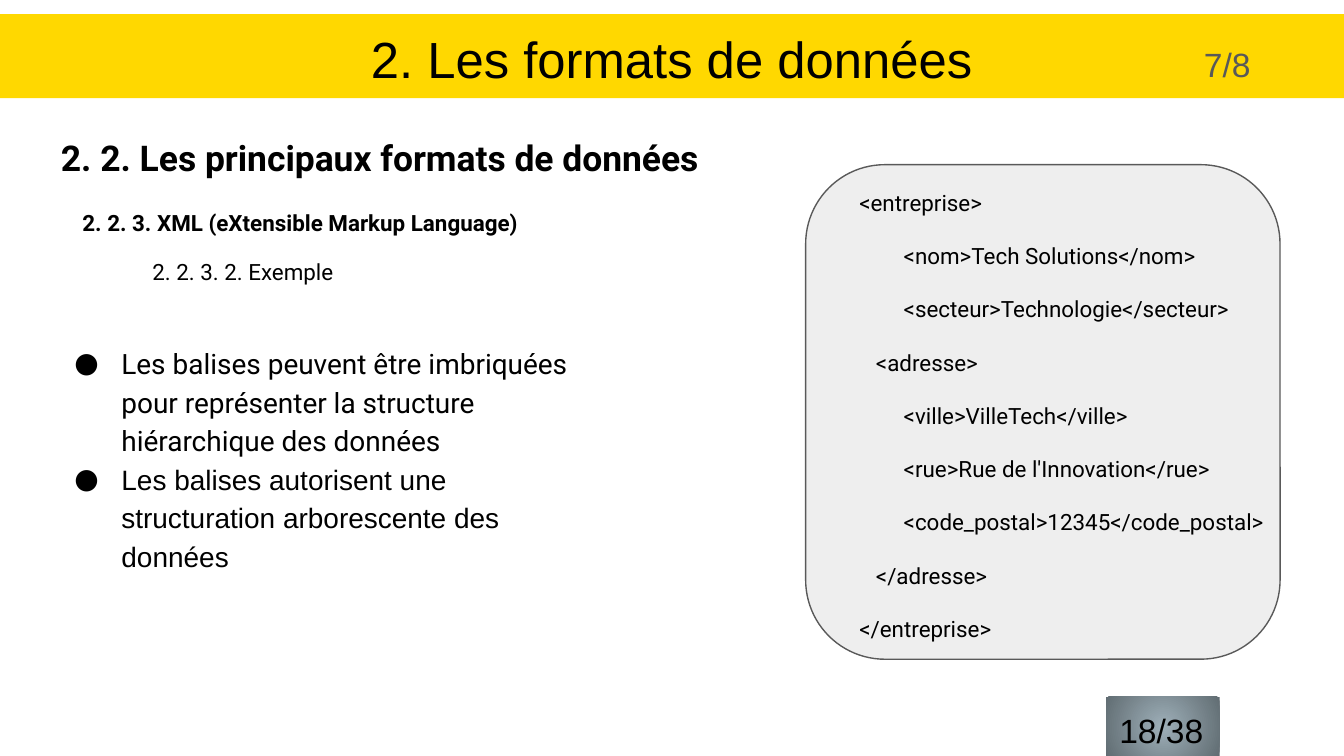
from lxml import etree
from pptx import Presentation
from pptx.dml.color import RGBColor
from pptx.enum.shapes import MSO_SHAPE
from pptx.enum.text import MSO_ANCHOR, PP_ALIGN
from pptx.oxml.ns import qn
from pptx.util import Emu, Pt

RECT, ROUND = MSO_SHAPE.RECTANGLE, MSO_SHAPE.ROUNDED_RECTANGLE
TOP, LEFT, CENTER = MSO_ANCHOR.TOP, PP_ALIGN.LEFT, PP_ALIGN.CENTER
SCALE = 4572
HUES = {"ink": "000000", "gray": "595959", "pale": "EEEEEE",
        "gold": "FFD800", "mist": "9EAFB8", "slate": "616D73"}
CODE = [
    "<entreprise>",
    "        <nom>Tech Solutions</nom>",
    "        <secteur>Technologie</secteur>",
    "   <adresse>",
    "        <ville>VilleTech</ville>",
    "        <rue>Rue de l'Innovation</rue>",
    "        <code_postal>12345</code_postal>",
    "   </adresse>",
    "</entreprise>",
]
POINTS = [
    ("Les balises peuvent être imbriquées pour représenter la structure "
     "hiérarchique des données", "Roboto"),
    ("Les balises autorisent une structuration arborescente des données", "Arial"),
]


def px(count):
    """Turn px into EMU."""
    return Emu(count * SCALE)


def hue(name):
    """Look up a colour by name."""
    return RGBColor.from_string(HUES[name])


def shape(slide, kind, box, fill):
    """Add a flat shape with one fill and no line."""
    item = slide.shapes.add_shape(kind, *map(px, box))
    item.shadow.inherit = False
    item.fill.solid()
    item.fill.fore_color.rgb = hue(fill)
    item.line.fill.background()
    return item


def frame(item):
    """Give a shape even margins and text from the top."""
    text = item.text_frame
    text.word_wrap = True
    text.vertical_anchor = TOP
    text.margin_left = text.margin_right = px(20)
    text.margin_top = text.margin_bottom = px(20)
    return text


def field(slide, box):
    """Add a text box and return its frame."""
    return frame(slide.shapes.add_textbox(*map(px, box)))


def write(text, words, size, font="Roboto", color="ink", bold=False,
          align=LEFT, pitch=1, gap=0, margin=0, indent=0, bullet=None):
    """Write one paragraph as one run."""
    first = not text.paragraphs[0].runs
    para = text.paragraphs[0] if first else text.add_paragraph()
    props = para._p.get_or_add_pPr()
    props.set("marL", str(px(margin)))
    props.set("indent", str(px(indent)))
    if bullet:
        tint = etree.SubElement(props, qn("a:buClr"))
        etree.SubElement(tint, qn("a:srgbClr"), val=HUES[color])
        etree.SubElement(props, qn("a:buFont"), typeface="Roboto")
        etree.SubElement(props, qn("a:buChar"), char=bullet)
    para.alignment = align
    para.line_spacing = pitch
    para.space_before = Pt(0 if first else gap)
    run = para.add_run()
    run.text = words
    run.font.size = Pt(size)
    run.font.name = font
    run.font.bold = bold
    run.font.color.rgb = hue(color)


def banner(slide, x, y, w, h):
    """Draw the title band with its part count."""
    band = shape(slide, RECT, (x, y, w, h), "gold")
    write(frame(band), "2. Les formats de données", 27.2, "Arial", align=CENTER)
    write(field(slide, (x + 1772, y + 25, 156, 76)), "7/8", 18, "Arial", "gray")


def heads(slide, x, y, w, h):
    """Stack the three levels of heading."""
    write(field(slide, (x + 71, y, w - 136, 126)),
          "2. 2. Les principaux formats de données", 19, bold=True, pitch=1.15)
    write(field(slide, (x + 3, y + 103, w - 3, h - 103)),
          "2. 2. 3. XML (eXtensible Markup Language)", 12, bold=True,
          pitch=1.38, indent=100)
    write(field(slide, (x + 7, y + 176, w - 14, 88)),
          "2. 2. 3. 2. Exemple", 12, pitch=1.38, margin=100, indent=100)


def points(slide, x, y, w, h):
    """List the bullet points."""
    text = field(slide, (x, y, w, h))
    for words, font in POINTS:
        write(text, words, 15, font, pitch=1.15, margin=100, indent=-70, bullet="●")


def sample(slide, x, y, w, h):
    """Draw the code panel."""
    panel = shape(slide, ROUND, (x, y, w, h), "pale")
    panel.adjustments[0] = 0.167
    panel.line.color.rgb = hue("gray")
    panel.line.width = Pt(0.75)
    text = field(slide, (x + 60, y + 10, w - 30, h - 10))
    for line in CODE:
        write(text, line, 12, pitch=1.15, gap=12)


def folio(slide, x, y, w, h):
    """Draw the page count on a round gradient."""
    tile = shape(slide, RECT, (x, y, w, h), "mist")
    tile.fill.gradient()
    for stop, name in zip(tile.fill.gradient_stops, ("mist", "slate")):
        stop.color.rgb = hue(name)
    grad = tile._element.spPr.find(qn("a:gradFill"))
    grad.remove(grad.find(qn("a:lin")))
    ring = etree.SubElement(grad, qn("a:path"), path="circle")
    sides = dict.fromkeys("ltrb", "50000")
    etree.SubElement(ring, qn("a:fillToRect"), **sides)
    write(frame(tile), "18/38", 18, "Arial")


def main():
    """Build the slide and save it."""
    deck = Presentation()
    deck.slide_width, deck.slide_height = px(2000), px(1125)
    slide = deck.slides.add_slide(deck.slide_layouts[6])
    banner(slide, 0, 21, 2000, 125)
    heads(slide, 0, 173, 2000, 263)
    points(slide, 61, 488, 860, 362)
    sample(slide, 1199, 245, 706, 736)
    folio(slide, 1646, 1037, 169, 88)
    deck.save("out.pptx")


if __name__ == "__main__":
    main()
